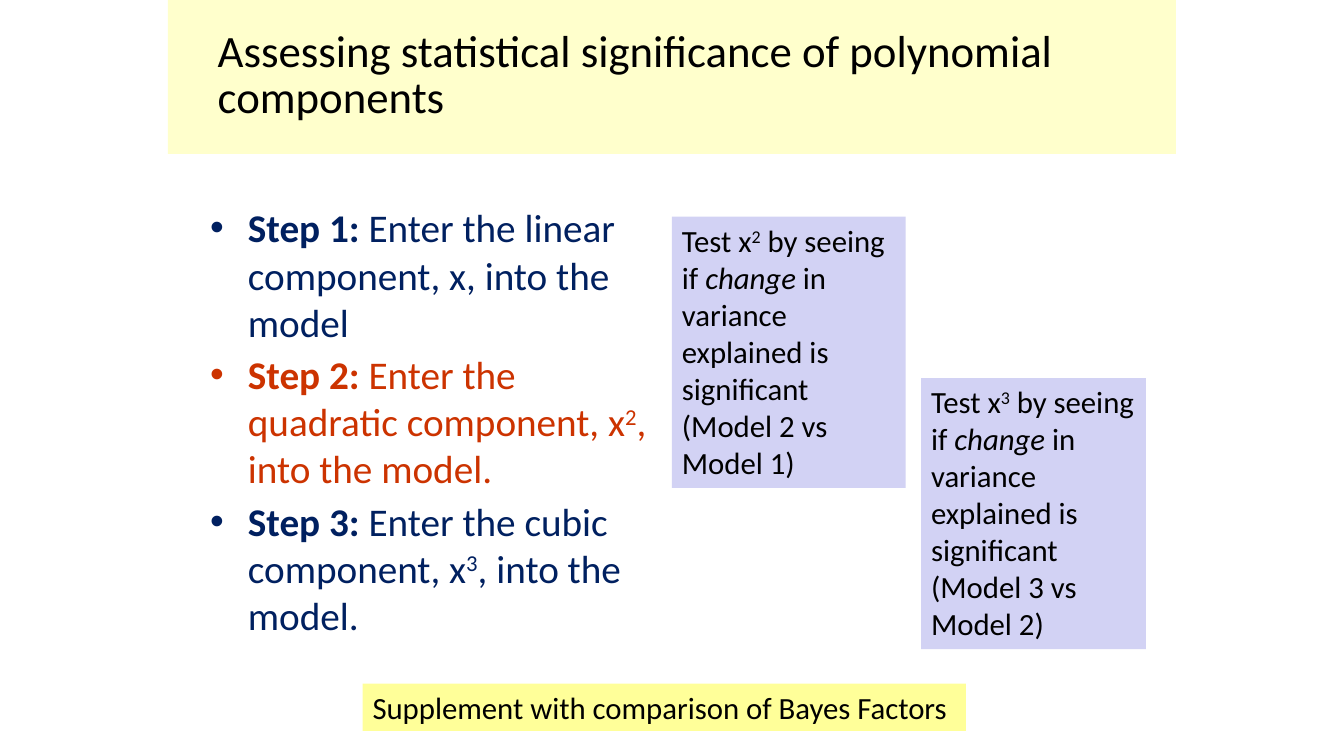
from lxml.etree import SubElement
from pptx import Presentation
from pptx.dml.color import RGBColor
from pptx.enum.shapes import MSO_SHAPE
from pptx.enum.text import MSO_ANCHOR, MSO_AUTO_SIZE, PP_ALIGN
from pptx.oxml.ns import qn
from pptx.util import Pt

THEME = {
    "font": "Calibri",
    "title_size": 32, "step_size": 28, "note_size": 22,
    "black": "000000", "navy": "002060", "red": "CC3300",
    "cream": "FFFFCC", "lavender": "D2D2F4", "yellow": "FFFF99",
}


def add_runs(paragraph, runs, size, color):
    for text, style in runs:
        run = paragraph.add_run()
        run.text = text
        run.font.color.rgb = RGBColor.from_string(THEME[color])
        formats = {"name": THEME["font"], "size": Pt(THEME[size]),
                   "bold": style == "bold", "italic": style == "italic"}
        for name, value in formats.items():
            setattr(run.font, name, value)
        if style == "super":
            run._r.get_or_add_rPr().set("baseline", "30000")


def set_frame(shape, **changes):
    formats = {"word_wrap": True, "auto_size": MSO_AUTO_SIZE.NONE,
               "vertical_anchor": MSO_ANCHOR.TOP,
               "margin_left": Pt(7.2), "margin_right": Pt(7.2),
               "margin_top": Pt(3.6), "margin_bottom": Pt(3.6)}
    for name, value in {**formats, **changes}.items():
        setattr(shape.text_frame, name, value)
    return shape.text_frame


presentation = Presentation()
presentation.slide_width, presentation.slide_height = Pt(960), Pt(540)
slide = presentation.slides.add_slide(presentation.slide_layouts[5])

title = slide.shapes.title
title_box = {"left": 120, "top": 0, "width": 720, "height": 110}
for name, value in title_box.items():
    setattr(title, name, Pt(value))
title.fill.solid()
title.fill.fore_color.rgb = RGBColor.from_string(THEME["cream"])
frame = set_frame(title, margin_left=Pt(35.5), margin_top=Pt(22.3))
paragraph = frame.paragraphs[0]
paragraph.alignment = PP_ALIGN.LEFT
paragraph.line_spacing = 0.85
add_runs(paragraph, [("Assessing statistical significance of polynomial components", None)],
         "title_size", "black")

steps = [
    ("navy", [("Step 1: ", "bold"), ("Enter the linear component, x, into the model", None)]),
    ("red", [("Step 2: ", "bold"), ("Enter the quadratic component, x", None),
             ("2", "super"), (", into the model.", None)]),
    ("navy", [("Step 3: ", "bold"), ("Enter the cubic component, x", None),
              ("3", "super"), (", into the model.", None)]),
]
step_list = slide.shapes.add_textbox(Pt(143), Pt(142), Pt(326), Pt(364))
frame = set_frame(step_list)
for index, (color, runs) in enumerate(steps):
    paragraph = frame.add_paragraph() if index else frame.paragraphs[0]
    paragraph.space_before = Pt(4)
    properties = paragraph._p.get_or_add_pPr()
    properties.set("marL", str(Pt(27)))
    properties.set("indent", str(-Pt(27)))
    SubElement(properties, qn("a:buFont")).set("typeface", "Arial")
    SubElement(properties, qn("a:buChar")).set("char", "•")
    add_runs(paragraph, runs, "step_size", color)

notes = [
    ((480, 154.8, 167, 193.7), "lavender", 2),
    ((658, 270, 160.5, 193.7), "lavender", 3),
    ((259, 488.4, 431, 33.8), "yellow", None),
]
for box, fill, power in notes:
    note = slide.shapes.add_shape(MSO_SHAPE.RECTANGLE, *map(Pt, box))
    note.shadow.inherit = False
    note.fill.solid()
    note.fill.fore_color.rgb = RGBColor.from_string(THEME[fill])
    note.line.fill.background()
    frame = set_frame(note)
    if power:
        lines = [
            [("Test x", None), (str(power), "super"), (" by seeing if ", None),
             ("change", "italic"), (" in variance explained is significant", None)],
            [(f"(Model {power} vs Model {power - 1})", None)],
        ]
    else:
        lines = [[("Supplement with comparison of Bayes Factors", None)]]
    for index, runs in enumerate(lines):
        paragraph = frame.add_paragraph() if index else frame.paragraphs[0]
        paragraph.alignment = PP_ALIGN.LEFT
        add_runs(paragraph, runs, "note_size", "black")

presentation.save("out.pptx")
